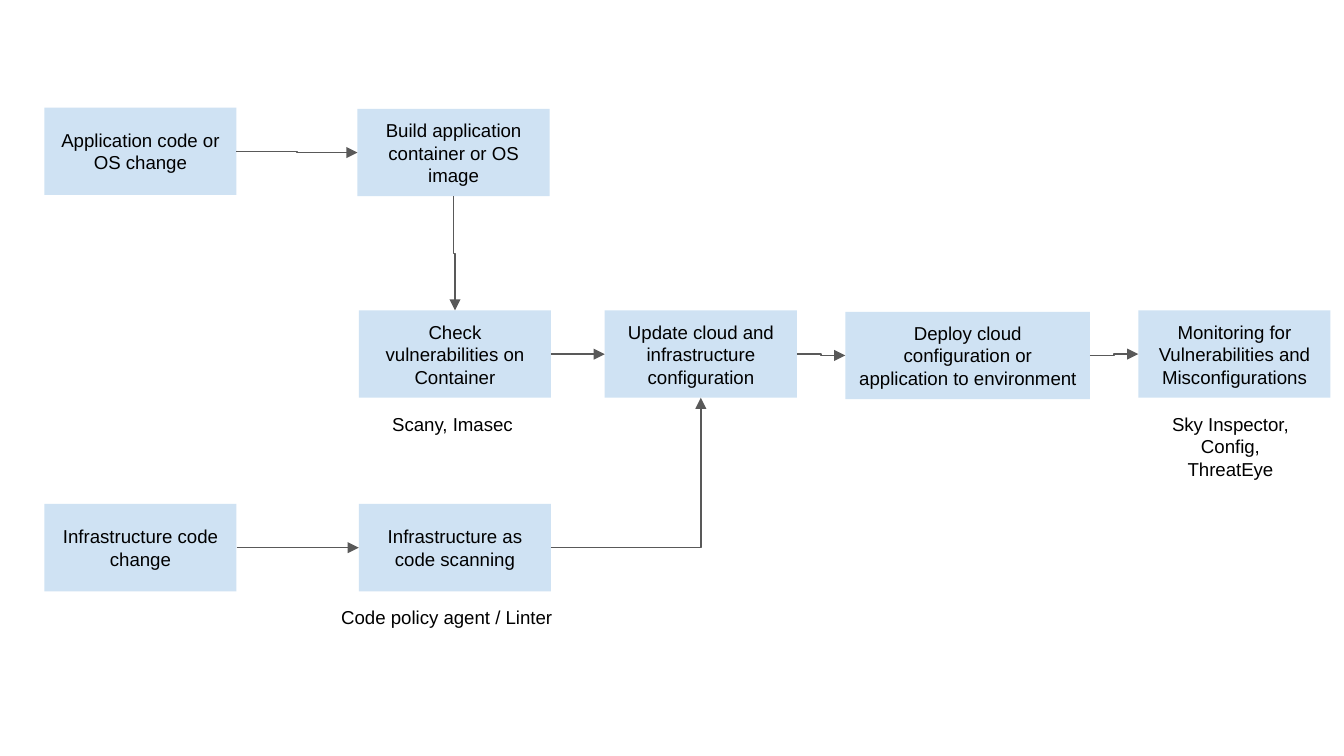
from lxml import etree
from pptx import Presentation
from pptx.dml.color import RGBColor
from pptx.enum.shapes import MSO_CONNECTOR as Link, MSO_SHAPE as Shape
from pptx.enum.text import MSO_ANCHOR as Anchor, MSO_AUTO_SIZE as AutoSize, PP_ALIGN as Align
from pptx.oxml.ns import qn
from pptx.util import Inches, Pt

PALE_BLUE = RGBColor(0xCF, 0xE2, 0xF3)
GRAY = RGBColor(0x59, 0x59, 0x59)
BLACK = RGBColor(0, 0, 0)

BOX_WIDTH, BOX_HEIGHT = 1.43, 0.65
COLUMNS = [0.33, 2.67, 4.5, 6.29, 8.47]
ROWS = [0.8, 2.31, 3.75]
TOP, LEFT, BOTTOM, RIGHT = range(4)

deck = Presentation()
deck.slide_width = Inches(10)
deck.slide_height = deck.slide_width * 9 // 16
page = deck.slides.add_slide(deck.slide_layouts[6])


def write(frame, lines, align):
    for index, line in enumerate(lines):
        para = frame.paragraphs[0] if index == 0 else frame.add_paragraph()
        para.alignment = align
        span = para.add_run()
        span.text = line
        span.font.name = "Arial"
        span.font.size = Pt(10)
        span.font.color.rgb = BLACK


steps = [
    ("app change", COLUMNS[0], ROWS[0], BOX_WIDTH, "Application code or OS change"),
    ("build", COLUMNS[1] - 0.01, ROWS[0] + 0.01, BOX_WIDTH, "Build application container or OS image"),
    ("check", COLUMNS[1], ROWS[1], BOX_WIDTH, "Check vulnerabilities on Container"),
    ("update", COLUMNS[2], ROWS[1], BOX_WIDTH, "Update cloud and infrastructure configuration"),
    ("deploy", COLUMNS[3], ROWS[1] + 0.01, 1.82, "Deploy cloud configuration or application to environment"),
    ("monitor", COLUMNS[4], ROWS[1], BOX_WIDTH, "Monitoring for Vulnerabilities and Misconfigurations"),
    ("infra change", COLUMNS[0], ROWS[2], BOX_WIDTH, "Infrastructure code change"),
    ("scan", COLUMNS[1], ROWS[2], BOX_WIDTH, "Infrastructure as code scanning"),
]
boxes = {}
for name, left, top, width, text in steps:
    box = page.shapes.add_shape(Shape.RECTANGLE, Inches(left), Inches(top), Inches(width), Inches(BOX_HEIGHT))
    box.shadow.inherit = False
    box.fill.solid()
    box.fill.fore_color.rgb = PALE_BLUE
    box.line.fill.background()
    frame = box.text_frame
    frame.word_wrap = True
    frame.vertical_anchor = Anchor.MIDDLE
    frame.margin_left = frame.margin_right = frame.margin_top = frame.margin_bottom = Inches(0.1)
    write(frame, [text], Align.CENTER)
    boxes[name] = box

arrows = [
    ("app change", RIGHT, "build", LEFT),
    ("build", BOTTOM, "check", TOP),
    ("check", RIGHT, "update", LEFT),
    ("update", RIGHT, "deploy", LEFT),
    ("deploy", RIGHT, "monitor", LEFT),
    ("infra change", RIGHT, "scan", LEFT),
    ("scan", RIGHT, "update", BOTTOM),
]
for source, exit_side, target, entry_side in arrows:
    arrow = page.shapes.add_connector(Link.ELBOW, 0, 0, 0, 0)
    arrow.begin_connect(boxes[source], exit_side)
    arrow.end_connect(boxes[target], entry_side)
    arrow.line.color.rgb = GRAY
    arrow.line.width = Pt(0.75)
    properties = arrow._element.spPr
    etree.SubElement(properties.find(qn("a:ln")), qn("a:tailEnd"), type="triangle")
    etree.SubElement(properties, qn("a:effectLst"))
    if entry_side == BOTTOM:
        properties.find(qn("a:prstGeom")).set("prst", "bentConnector2")
    if exit_side == BOTTOM:
        left, top, width, height = arrow.left, arrow.top, arrow.width, arrow.height
        arrow.left = left + (width - height) // 2
        arrow.top = top + (height - width) // 2
        arrow.width, arrow.height = height, width
        frame_xml = properties.find(qn("a:xfrm"))
        frame_xml.set("rot", "16200000")
        frame_xml.set("flipH", "1")

notes = [
    (2.82, 3.02, 1.13, 0.27, ["Scany, Imasec"], Align.LEFT),
    (8.55, 3.02, 1.21, 0.61, ["Sky Inspector,", "Config,", "ThreatEye"], Align.CENTER),
    (2.44, 4.46, 1.88, 0.27, ["Code policy agent / Linter"], Align.LEFT),
]
for left, top, width, height, lines, align in notes:
    label = page.shapes.add_textbox(Inches(left), Inches(top), Inches(width), Inches(height))
    label.text_frame.word_wrap = False
    label.text_frame.auto_size = AutoSize.SHAPE_TO_FIT_TEXT
    write(label.text_frame, lines, align)

deck.save("out.pptx")
